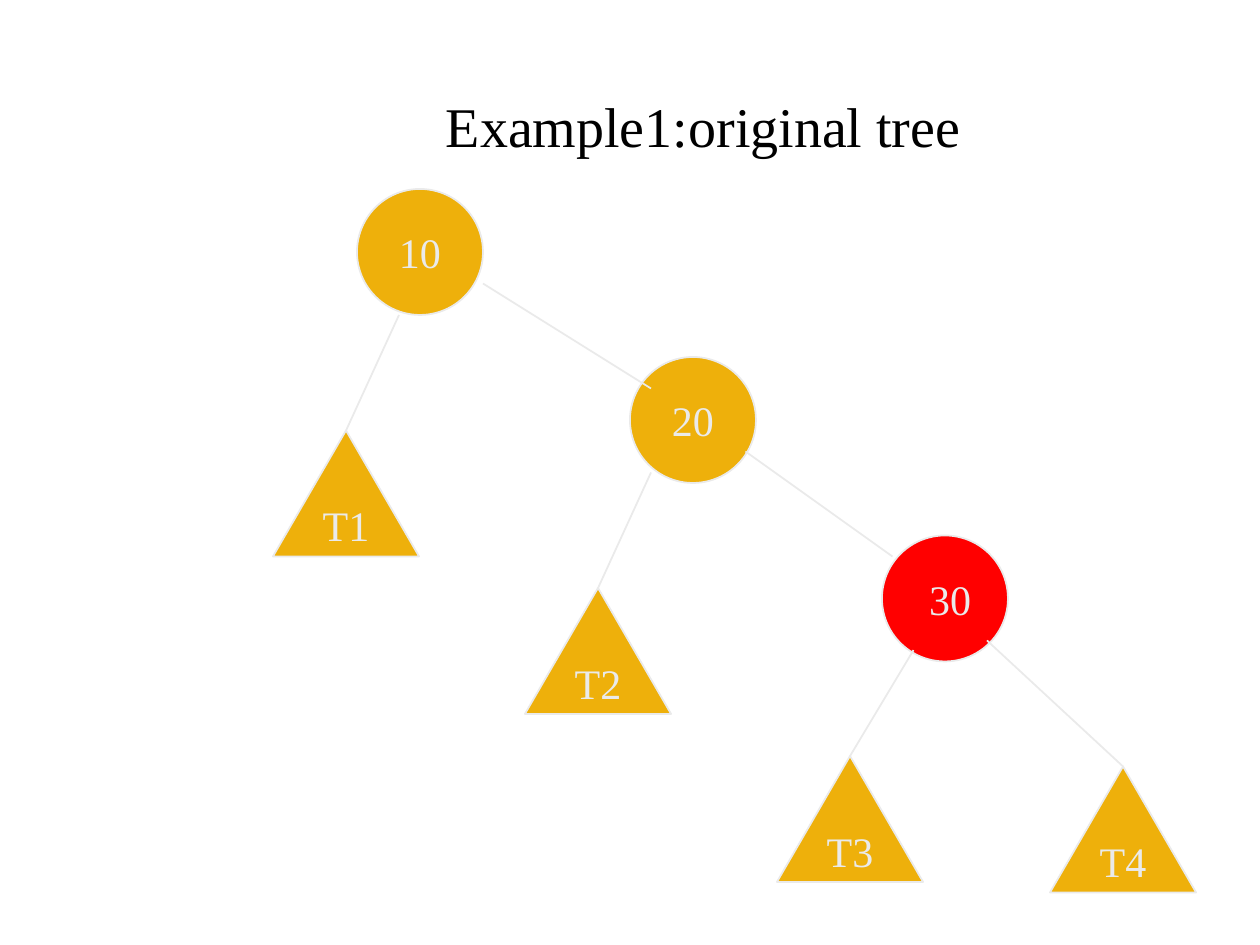
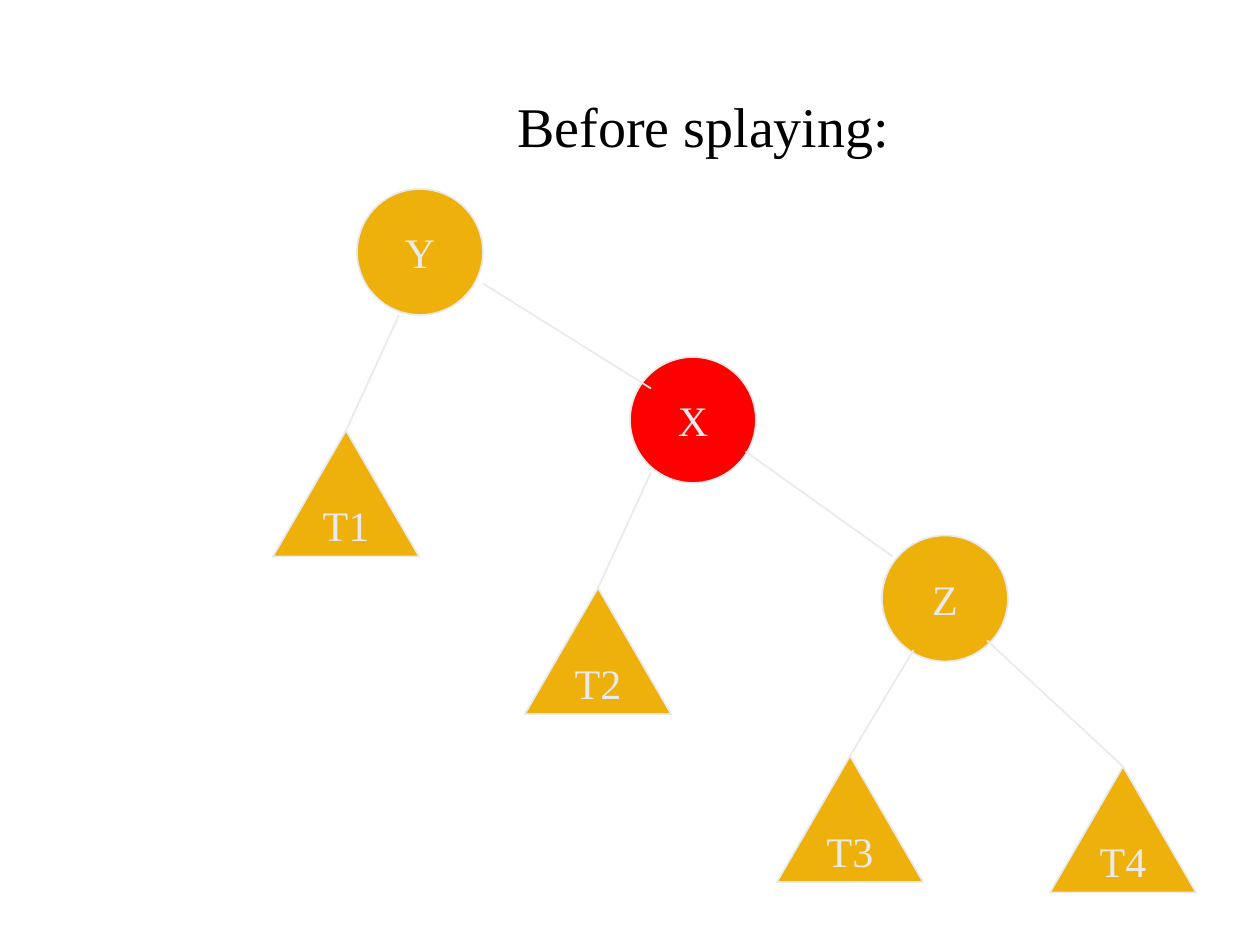
from lxml import etree
from pptx import Presentation
from pptx.dml.color import RGBColor
from pptx.enum.shapes import MSO_CONNECTOR, MSO_SHAPE
from pptx.enum.text import MSO_ANCHOR, MSO_AUTO_SIZE, PP_ALIGN
from pptx.oxml.ns import qn
from pptx.util import Pt

ELLIPSE, TRIANGLE = MSO_SHAPE.OVAL, MSO_SHAPE.ISOSCELES_TRIANGLE
STRAIGHT = MSO_CONNECTOR.STRAIGHT
MIDDLE, CENTER, NO_FIT = MSO_ANCHOR.MIDDLE, PP_ALIGN.CENTER, MSO_AUTO_SIZE.NONE

FONT = "Times New Roman"
BLACK = RGBColor(0x00, 0x00, 0x00)
WHITE = RGBColor(0xFF, 0xFF, 0xFF)
GOLD = RGBColor(0xEE, 0xB0, 0x0B)
RED = RGBColor(0xFF, 0x00, 0x00)
PALE = RGBColor(0xEA, 0xEA, 0xEA)

TITLE_LAYOUT = 5
NODE_SIZE = 72
SUBTREE_WIDTH = 83.5
TOP = 0

# Tree layout, in points
NODE_PLACES = [(204, 108), (360, 204), (504, 306)]
SUBTREES = {"T1": (156, 246), "T3": (444, 432), "T2": (300, 336), "T4": (600, 438)}
SUBTREE_LINKS = {"T1": (228, 180), "T2": (372, 270), "T3": (522, 371.5), "T4": (564, 366)}
NODE_LINKS = [((276, 162), (372, 222)), ((426, 258), (510, 318))]

# Title, node labels and the highlighted label of each slide
TREES = [
    ("Example1:original tree", ["10", "20", " 30"], " 30"),
    ("Before splaying:", ["Y", "X", "Z"], "X"),
]


class TreeDeck:
    def __init__(self):
        self.presentation = Presentation()
        self.presentation.slide_width = Pt(720)
        self.presentation.slide_height = Pt(540)
        self.slide = None

    def new_slide(self, heading):
        layout = self.presentation.slide_layouts[TITLE_LAYOUT]
        self.slide = self.presentation.slides.add_slide(layout)
        background = self.slide.background.fill
        background.solid()
        background.fore_color.rgb = WHITE
        title = self.slide.shapes.title
        title.left, title.top = Pt(96), Pt(24)
        title.width, title.height = Pt(612), Pt(95)
        title.text_frame.auto_size = NO_FIT
        self.add_words(title.text_frame, heading, 32, BLACK)

    def add_words(self, frame, words, size, color):
        frame.vertical_anchor = MIDDLE
        paragraph = frame.paragraphs[0]
        paragraph.alignment = CENTER
        run = paragraph.add_run()
        run.text = words
        run.font.name = FONT
        run.font.size = Pt(size)
        run.font.color.rgb = color

    def outline(self, element):
        element.line.color.rgb = PALE
        element.line.width = Pt(1)

    def labelled(self, kind, place, width, label, color):
        left, top = place
        shape = self.slide.shapes.add_shape(
            kind, Pt(left), Pt(top), Pt(width), Pt(NODE_SIZE))
        shape.shadow.inherit = False
        shape.fill.solid()
        shape.fill.fore_color.rgb = color
        self.outline(shape)
        shape.text_frame.word_wrap = False
        self.add_words(shape.text_frame, label, 24, PALE)
        return shape

    def node(self, place, label, color):
        return self.labelled(ELLIPSE, place, NODE_SIZE, label, color)

    def subtree(self, place, label):
        return self.labelled(TRIANGLE, place, SUBTREE_WIDTH, label, GOLD)

    def link(self, start, end):
        connector = self.slide.shapes.add_connector(
            STRAIGHT, *(Pt(value) for value in (*start, *end)))
        self.outline(connector)
        etree.SubElement(connector._element.spPr, qn("a:effectLst"))
        return connector

    def tree(self, labels, highlighted):
        for place, label in zip(NODE_PLACES, labels):
            self.node(place, label, RED if label == highlighted else GOLD)
        triangles = {label: self.subtree(place, label)
                     for label, place in SUBTREES.items()}

        # Links from each subtree's tip up to its parent
        for label, parent_point in SUBTREE_LINKS.items():
            connector = self.link(SUBTREES[label], parent_point)
            connector.begin_connect(triangles[label], TOP)

        # Links between nodes
        for start, end in NODE_LINKS:
            self.link(start, end)


def main():
    deck = TreeDeck()
    for heading, labels, highlighted in TREES:
        deck.new_slide(heading)
        deck.tree(labels, highlighted)
    deck.presentation.save("out.pptx")


if __name__ == "__main__":
    main()
